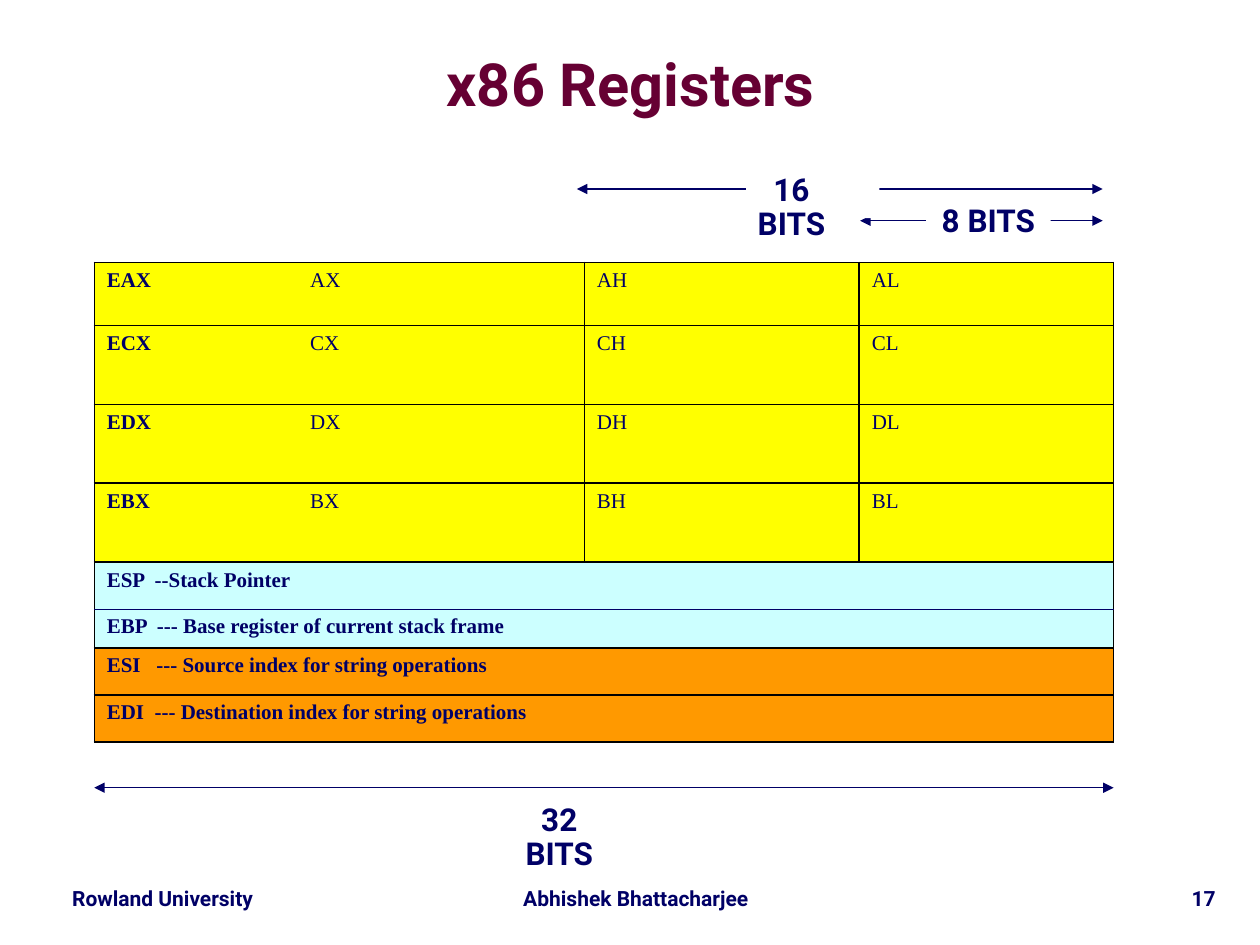
from dataclasses import dataclass

from lxml import etree
from pptx import Presentation
from pptx.dml.color import RGBColor
from pptx.enum.shapes import MSO_CONNECTOR, MSO_SHAPE
from pptx.enum.text import MSO_ANCHOR, PP_ALIGN
from pptx.oxml.ns import qn
from pptx.util import Cm, Pt

NAVY = RGBColor(0x00, 0x00, 0x66)
WINE = RGBColor(0x66, 0x00, 0x33)
WHITE = RGBColor(0xFF, 0xFF, 0xFF)
YELLOW = RGBColor(0xFF, 0xFF, 0x00)
CYAN = RGBColor(0xCC, 0xFF, 0xFF)
ORANGE = RGBColor(0xFF, 0x99, 0x00)

CENTER = PP_ALIGN.CENTER
RIGHT = PP_ALIGN.RIGHT
TOP = MSO_ANCHOR.TOP
MIDDLE = MSO_ANCHOR.MIDDLE
RECT = MSO_SHAPE.RECTANGLE
STRAIGHT = MSO_CONNECTOR.STRAIGHT

SANS = "Roboto"
SERIF = "Times New Roman"

LEFT, HEAD = 1.9, 5.29
COLS = (9.88, 5.54, 5.13)
ROWS = (1.27, 1.59, 1.59, 1.59, 1.67, 0.95, 0.95)
TAB = 4.1
EDGE = LEFT + sum(COLS)


@dataclass
class Text:
    words: str
    left: float
    top: float
    width: float
    height: float
    size: int = 12
    color: RGBColor = NAVY
    align: int = CENTER
    anchor: int = TOP
    space: float = 0.9
    inset: tuple = (0.25, 0.13, 0.25, 0.13)
    fill: RGBColor | None = None


@dataclass
class Line:
    left: float
    right: float
    top: float
    arrow: bool = True


@dataclass
class Band:
    words: tuple
    fill: RGBColor


FOOTER = (
    Text("Rowland University", 0.84, 17.78, 4.88, 0.71),
    Text("Abhishek Bhattacharjee", 9.96, 17.78, 5.72, 0.71),
    Text("17", 20.75, 17.78, 4.01, 0.76, align=RIGHT),
)
TITLE = Text("x86 Registers", 0.79, 0.69, 23.85, 2.16, 34, WINE,
             anchor=MIDDLE, space=0.87, inset=(0, 0, 0, 0))
SKEW = (0.13, 0.13, 0.99, 0.13)
LABELS = (
    Text("16 BITS", 15.04, 3.38, 2.69, 1.02, 18, inset=SKEW, fill=WHITE),
    Text("32 BITS", 10.36, 16.08, 2.69, 1.02, 18, inset=SKEW, fill=WHITE),
    Text("8 BITS", 18.67, 4.01, 2.51, 0.94, 18, fill=WHITE),
)
LINES = (
    Line(11.63, 22.23, 3.81),
    Line(LEFT, EDGE, 15.88),
    Line(LEFT, EDGE, 12.28, False),
    Line(17.34, 22.23, 4.45),
)
BANDS = (
    Band(("ESP  --Stack Pointer",
          "EBP  --- Base register of current stack frame"), CYAN),
    Band(("ESI   --- Source index for string operations",), ORANGE),
    Band(("EDI  --- Destination index for string operations",), ORANGE),
)


def put(item, values: dict) -> None:
    for name, value in values.items():
        setattr(item, name, value)


def write(para, words: str, font: str, size: int, color: RGBColor, bold=True) -> None:
    run = para.add_run()
    run.text = words
    put(run.font, {"name": font, "size": Pt(size), "bold": bold})
    run.font.color.rgb = color


def add_text(slide, text: Text) -> None:
    place = [Cm(v) for v in (text.left, text.top, text.width, text.height)]
    if text.fill is None:
        box = slide.shapes.add_textbox(*place)
    else:
        box = slide.shapes.add_shape(RECT, *place)
        box.shadow.inherit = False
        box.fill.solid()
        box.fill.fore_color.rgb = text.fill
        box.line.fill.background()
    frame = box.text_frame
    sides = ("margin_left", "margin_top", "margin_right", "margin_bottom")
    put(frame, {"word_wrap": True, "vertical_anchor": text.anchor,
                **{side: Cm(v) for side, v in zip(sides, text.inset)}})
    para = frame.paragraphs[0]
    put(para, {"alignment": text.align, "line_spacing": text.space})
    write(para, text.words, SANS, text.size, text.color)


def add_line(slide, line: Line) -> None:
    link = slide.shapes.add_connector(
        STRAIGHT, Cm(line.left), Cm(line.top), Cm(line.right), Cm(line.top))
    link.line.width = Pt(0.75)
    link.line.color.rgb = NAVY
    if line.arrow:
        stroke = link.line._get_or_add_ln()
        for end in ("a:headEnd", "a:tailEnd"):
            etree.SubElement(stroke, qn(end), type="triangle")
    etree.SubElement(link._element.spPr, qn("a:effectLst"))


def style(cell, fill: RGBColor) -> None:
    props = cell._tc.get_or_add_tcPr()
    for side in ("a:lnL", "a:lnR", "a:lnT", "a:lnB"):
        edge = etree.SubElement(props, qn(side), w=str(Pt(1)))
        solid = etree.SubElement(edge, qn("a:solidFill"))
        etree.SubElement(solid, qn("a:srgbClr"), val="000000")
    cell.fill.solid()
    cell.fill.fore_color.rgb = fill


def add_tab(para) -> None:
    stops = etree.SubElement(para._p.get_or_add_pPr(), qn("a:tabLst"))
    etree.SubElement(stops, qn("a:tab"), pos=str(Cm(TAB)), algn="l")


def add_grid(slide) -> None:
    grid = slide.shapes.add_table(
        len(ROWS), len(COLS), Cm(LEFT), Cm(HEAD), Cm(sum(COLS)), Cm(sum(ROWS))).table
    put(grid, {"first_row": False, "horz_banding": False})
    for col, width in zip(grid.columns, COLS):
        col.width = Cm(width)
    for row, height in zip(grid.rows, ROWS):
        row.height = Cm(height)
    for row, key in enumerate("ACDB"):
        for col, tail in enumerate("XHL"):
            cell = grid.cell(row, col)
            style(cell, YELLOW)
            para = cell.text_frame.paragraphs[0]
            lead = ""
            if col == 0:
                add_tab(para)
                write(para, f"E{key}X", SERIF, 12, NAVY)
                lead = "\t"
            write(para, f"{lead}{key}{tail}", SERIF, 12, NAVY, False)
    for row, band in enumerate(BANDS, 4):
        for col in range(len(COLS)):
            style(grid.cell(row, col), band.fill)
        cell = grid.cell(row, 0)
        cell.merge(grid.cell(row, len(COLS) - 1))
        frame = cell.text_frame
        for spot, words in enumerate(band.words):
            para = frame.add_paragraph() if spot else frame.paragraphs[0]
            para.space_before = Pt(13 * spot)
            write(para, words, SERIF, 12, NAVY)


def main() -> None:
    deck = Presentation()
    put(deck, {"slide_width": Cm(25.4), "slide_height": Cm(19.05)})
    slide = deck.slides.add_slide(deck.slide_layouts[6])
    for text in (*FOOTER, TITLE):
        add_text(slide, text)
    add_grid(slide)
    for line in LINES:
        add_line(slide, line)
    for text in LABELS:
        add_text(slide, text)
    deck.save("out.pptx")


if __name__ == "__main__":
    main()
